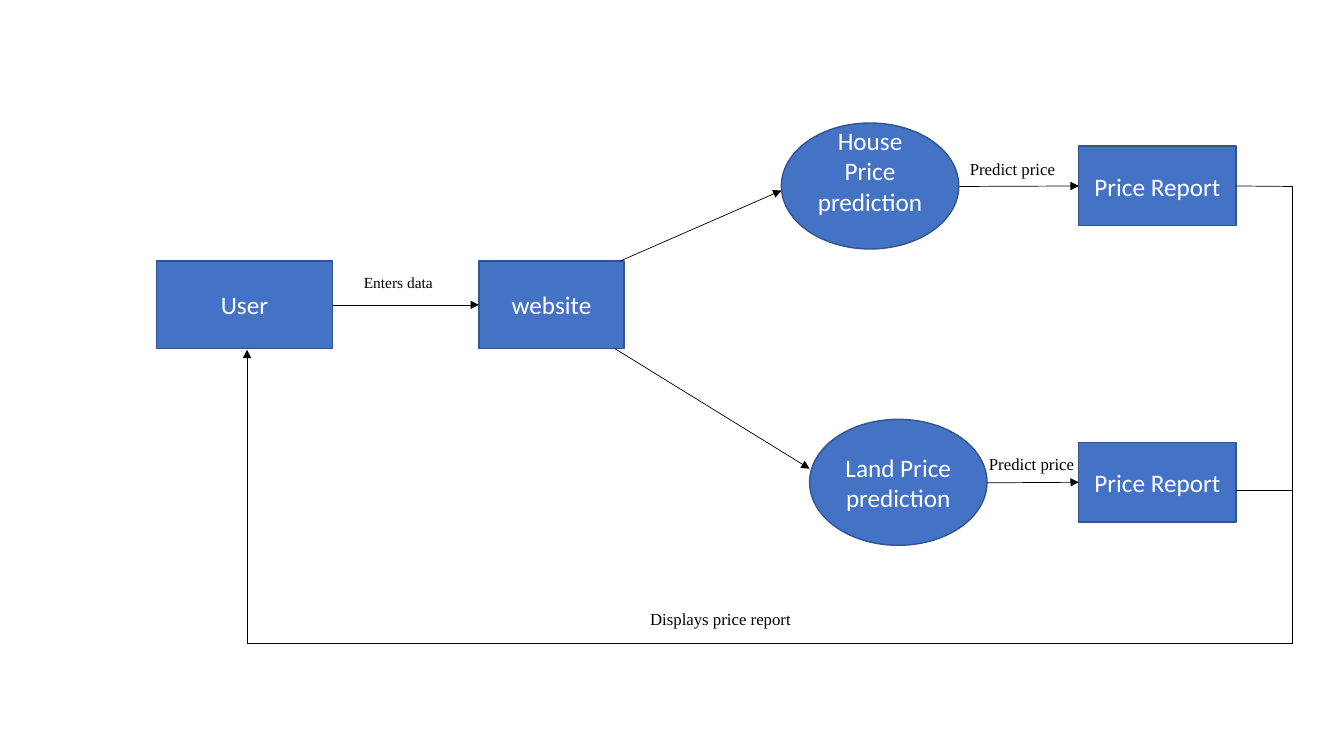
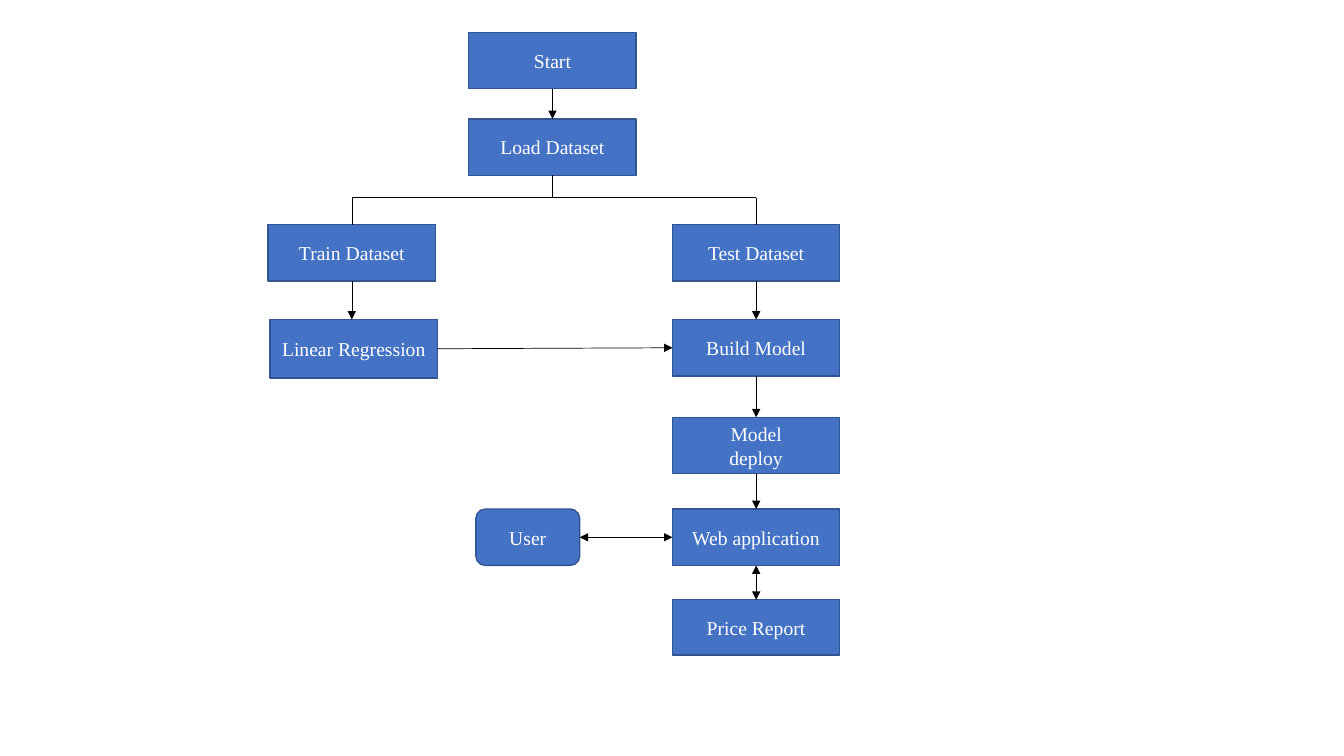
"""Build two flow diagrams of a price prediction system."""
from dataclasses import dataclass
from itertools import pairwise

from lxml.etree import SubElement
from pptx import Presentation
from pptx.dml.color import RGBColor as Color
from pptx.enum.shapes import MSO_CONNECTOR as Connector, MSO_SHAPE as Preset
from pptx.enum.text import MSO_ANCHOR as Anchor, PP_ALIGN as Align
from pptx.oxml.ns import qn
from pptx.util import Inches, Pt


@dataclass(frozen=True)
class Theme:
    fill: Color = Color(0x44, 0x72, 0xC4)
    outline: Color = Color(0x32, 0x54, 0x91)
    light: Color = Color(0xFF, 0xFF, 0xFF)
    dark: Color = Color(0, 0, 0)
    sans: str = "Calibri"
    serif: str = "Times New Roman"
    large: int = 18
    medium: int = 14
    label: int = 12
    small: int = 11
    outline_width: float = 1
    line_width: float = 0.5


theme = Theme()
TOP, LEFT, BOTTOM, RIGHT = range(4)


def add_text(slide, text, box, preset=None, size=theme.label, font=theme.serif, bottom_inset=0.05):
    """Add a filled shape with text, or a plain label when no preset is given."""
    lengths = [Inches(value) for value in box]
    if preset is None:
        shape = slide.shapes.add_textbox(*lengths)
    else:
        shape = slide.shapes.add_shape(preset, *lengths)
        shape.shadow.inherit = False
        shape.fill.solid()
        shape.fill.fore_color.rgb = theme.fill
        shape.line.color.rgb = theme.outline
        shape.line.width = Pt(theme.outline_width)
    frame = shape.text_frame
    frame.word_wrap = True
    frame.vertical_anchor = Anchor.MIDDLE if preset else Anchor.TOP
    frame.margin_bottom = Inches(bottom_inset)
    frame.text = text
    for paragraph in frame.paragraphs:
        paragraph.alignment = Align.CENTER if preset else Align.LEFT
        paragraph.font.size = Pt(size)
        paragraph.font.name = font
        paragraph.font.color.rgb = theme.light if preset else theme.dark
    return shape


def add_line(slide, begin, end, arrows=()):
    """Draw a line between two ends, each a point or a shape with its side."""
    points = [(0, 0) if hasattr(first, "shape_id") else (Inches(first), Inches(second))
              for first, second in (begin, end)]
    line = slide.shapes.add_connector(Connector.STRAIGHT, *points[0], *points[1])
    if hasattr(begin[0], "shape_id"):
        line.begin_connect(*begin)
    if hasattr(end[0], "shape_id"):
        line.end_connect(*end)
    line.line.color.rgb = theme.dark
    line.line.width = Pt(theme.line_width)
    properties = line.line._get_or_add_ln()
    for arrow in arrows:
        SubElement(properties, qn(f"a:{arrow}"), type="triangle")
    SubElement(line._element.spPr, qn("a:effectLst"))


FORWARD = ("tailEnd",)
BOTH = ("headEnd", "tailEnd")

presentation = Presentation()
presentation.slide_width = Inches(13.33)
presentation.slide_height = Inches(7.5)
blank = presentation.slide_layouts[6]

slide = presentation.slides.add_slide(blank)
large_text = {"size": theme.large, "font": theme.sans}
user = add_text(slide, "User", (1.55, 2.59, 1.75, 0.87), Preset.RECTANGLE, **large_text)
website = add_text(slide, "website", (4.75, 2.59, 1.44, 0.87), Preset.RECTANGLE, **large_text)
add_line(slide, (user, RIGHT), (website, LEFT), FORWARD)

predictions = [
    ("House Price\nprediction", 7.75, 1.22, 0.35, (6.15, 2.59), 1.89, (9.52, 1.53)),
    ("Land Price\nprediction", 8.03, 4.16, 0.05, (6.1, 3.46), 4.65, (9.71, 4.45)),
]
reports = []
for text, left, top, inset, start, entry, label in predictions:
    add_text(slide, text, (left, top, 1.76, 1.25), Preset.FLOWCHART_CONNECTOR,
             bottom_inset=inset, **large_text)
    report = add_text(slide, "Price Report", (10.7, top + 0.23, 1.56, 0.79),
                      Preset.RECTANGLE, **large_text)
    add_line(slide, start, (left, entry), FORWARD)
    add_line(slide, (left + 1.76, top + 0.63), (report, LEFT), FORWARD)
    add_text(slide, "Predict price", (*label, 1.25, 0.3))
    reports.append(report)

return_right, return_left, return_bottom = 12.82, 2.45, 6.38
add_line(slide, (12.26, 4.86), (return_right, 4.86))
return_route = [(reports[0], RIGHT), (return_right, 1.85), (return_right, return_bottom),
                (return_left, return_bottom)]
for begin, end in pairwise(return_route):
    add_line(slide, begin, end)
add_line(slide, return_route[-1], (return_left, 3.47), FORWARD)
add_text(slide, "Enters data", (3.51, 2.66, 1.44, 0.29), size=theme.small)
add_text(slide, "Displays price report", (6.35, 5.99, 1.8, 0.3))

slide = presentation.slides.add_slide(blank)
steps = [
    ("Start", 4.65, 0.32, 1.66, 0.56),
    ("Load Dataset", 4.65, 1.18, 1.66, 0.56),
    ("Train Dataset", 2.66, 2.23, 1.66, 0.56),
    ("Linear Regression", 2.68, 3.17, 1.66, 0.58),
    ("Test Dataset", 6.67, 2.23, 1.66, 0.56),
    ("Build Model", 6.67, 3.17, 1.66, 0.56),
    ("Model\ndeploy", 6.67, 4.14, 1.66, 0.56),
    ("Web application", 6.67, 5.05, 1.66, 0.56),
    ("Price Report", 6.67, 5.95, 1.66, 0.55),
]
start, load, train, regression, test, build, deploy, web, report = [
    add_text(slide, text, box, Preset.RECTANGLE, size=theme.medium) for text, *box in steps]
user = add_text(slide, "User", (4.72, 5.05, 1.03, 0.56), Preset.ROUNDED_RECTANGLE,
                size=theme.medium)

for upper, lower in [(start, load), *pairwise([test, build, deploy, web])]:
    add_line(slide, (upper, BOTTOM), (lower, TOP), FORWARD)
add_line(slide, (train, BOTTOM), (3.49, 3.17), FORWARD)
add_line(slide, (regression, RIGHT), (build, LEFT), FORWARD)
add_line(slide, (web, BOTTOM), (report, TOP), BOTH)
add_line(slide, (user, RIGHT), (web, LEFT), BOTH)

branch_level = 1.96
add_line(slide, (3.49, branch_level), (7.5, branch_level))
for center, end in [(5.48, (load, BOTTOM)), (3.49, (train, TOP)), (7.5, (test, TOP))]:
    add_line(slide, (center, branch_level), end)

presentation.save("out.pptx")
